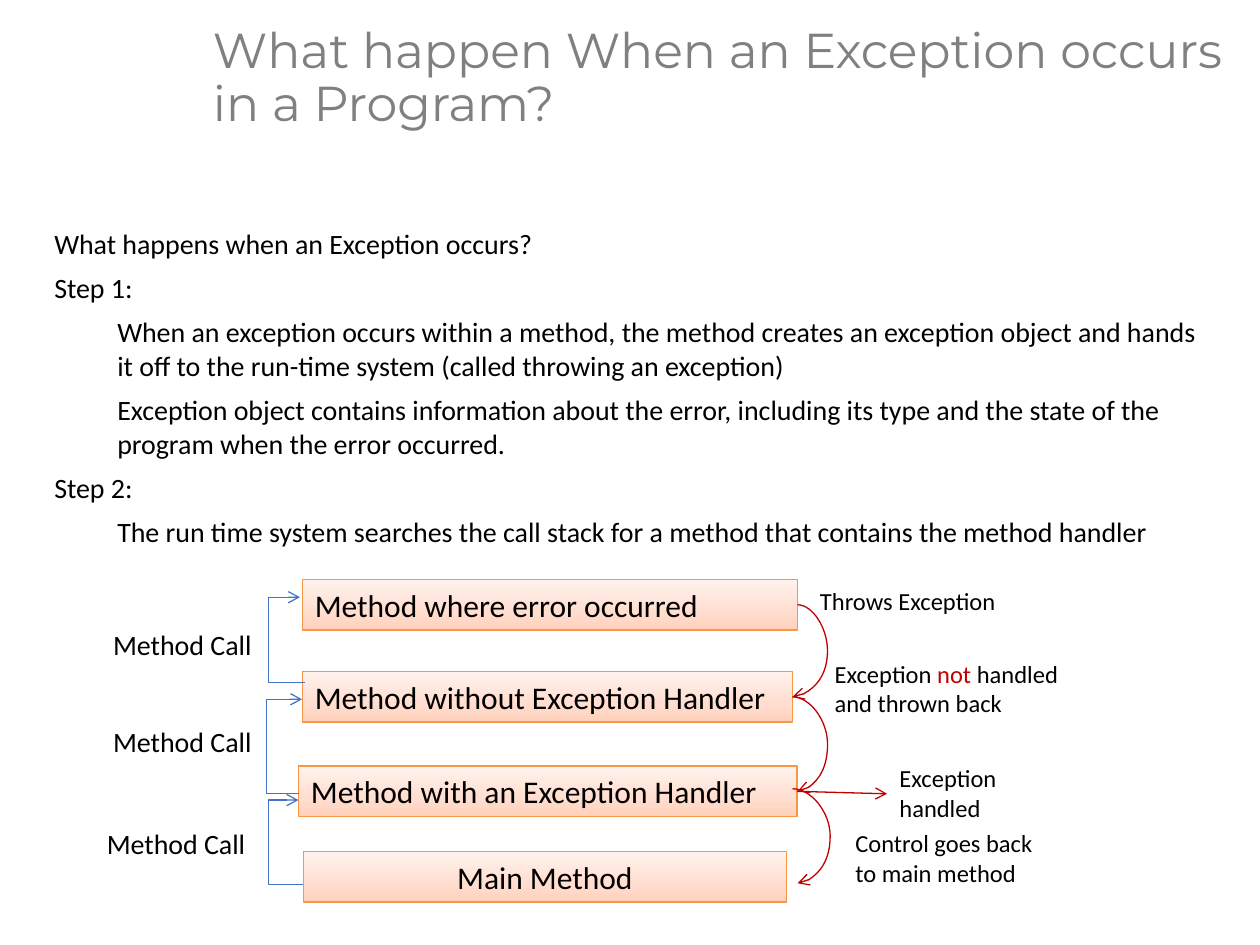
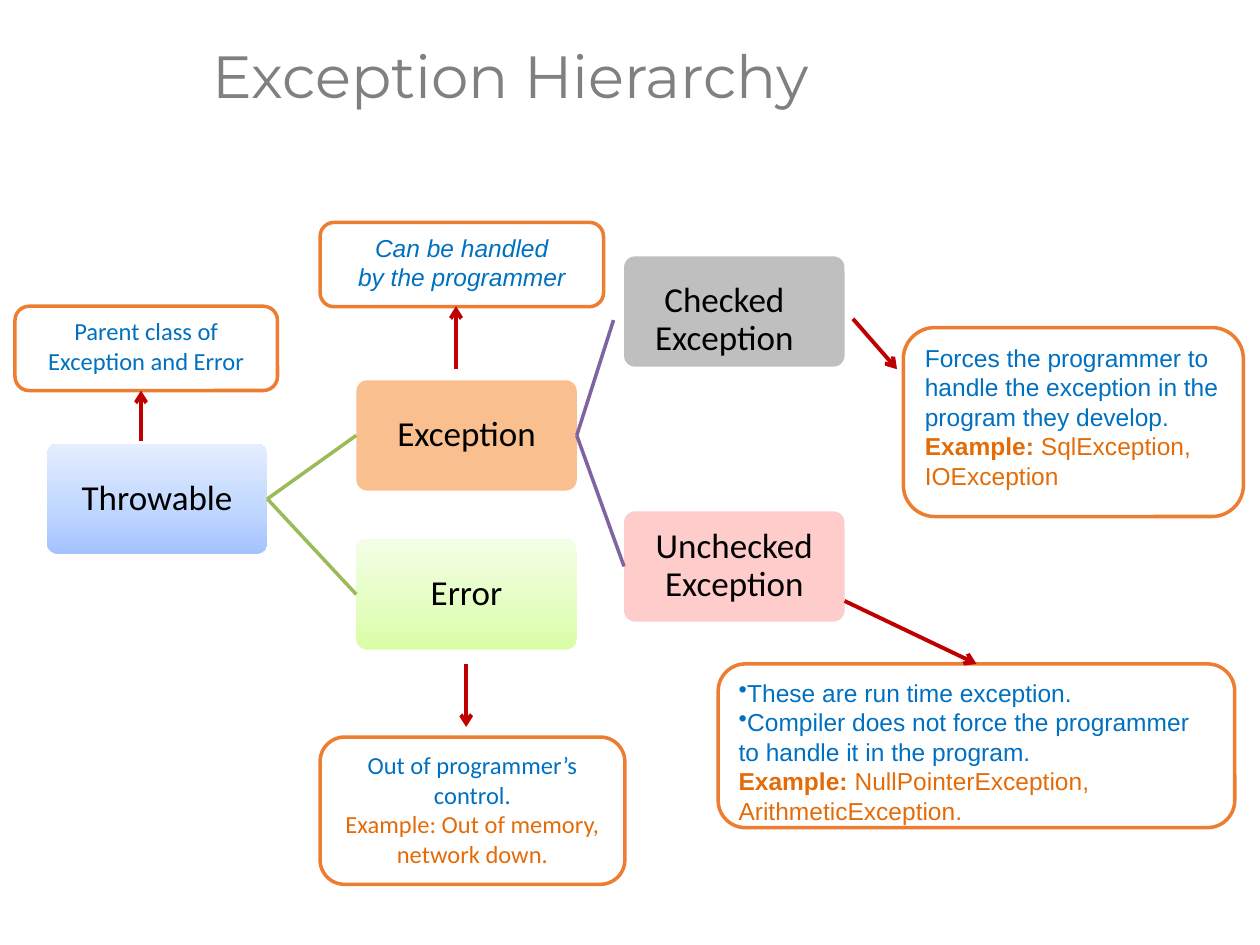
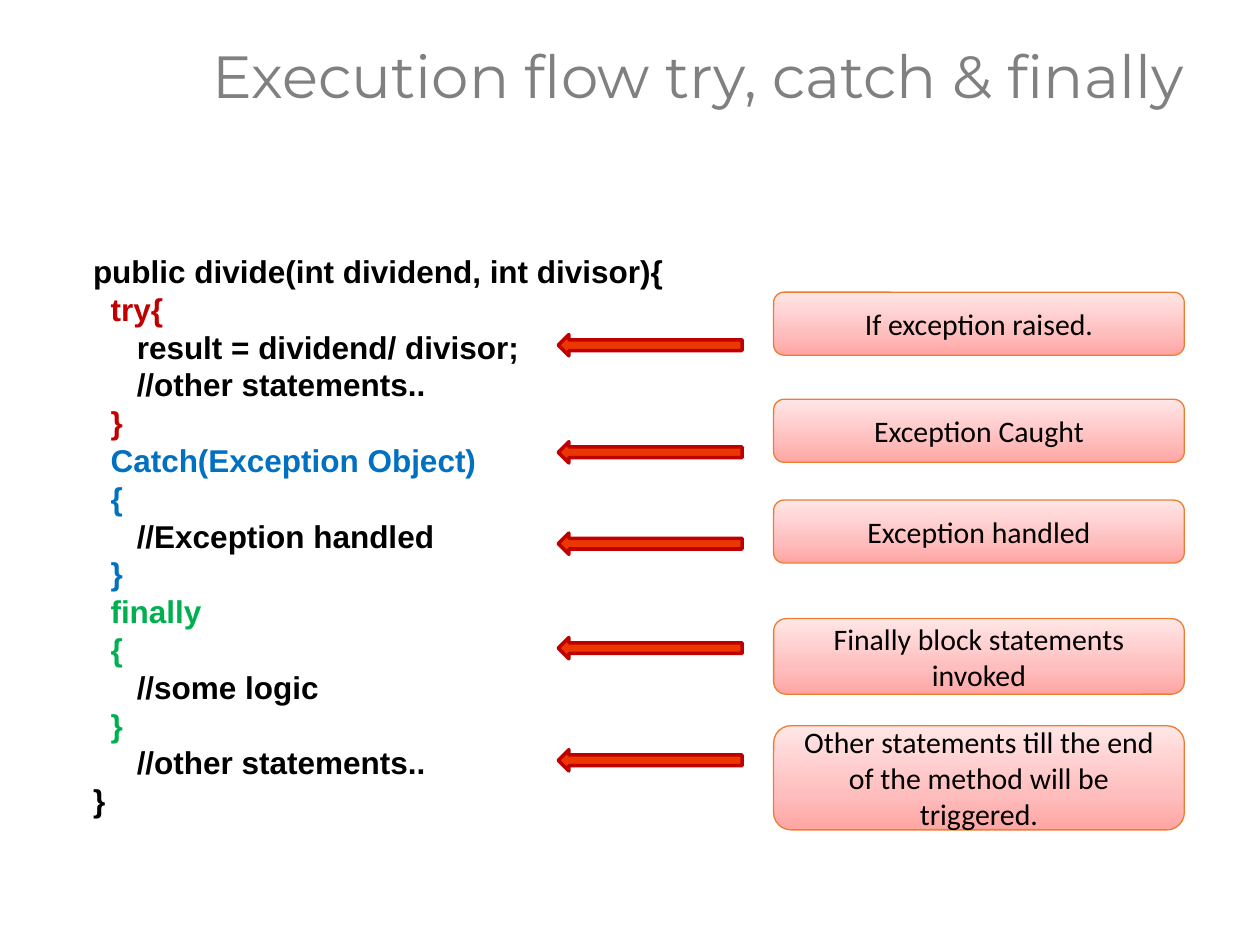
from copy import deepcopy

from lxml.etree import SubElement
from pptx import Presentation
from pptx.dml.color import RGBColor
from pptx.enum.shapes import MSO_CONNECTOR, MSO_SHAPE
from pptx.enum.text import MSO_ANCHOR, MSO_AUTO_SIZE, PP_ALIGN
from pptx.oxml.ns import qn
from pptx.util import Pt

RECT, ROUNDED, LEFT_ARROW = MSO_SHAPE.RECTANGLE, MSO_SHAPE.ROUNDED_RECTANGLE, MSO_SHAPE.LEFT_ARROW
STRAIGHT, ELBOW, CURVE = MSO_CONNECTOR.STRAIGHT, MSO_CONNECTOR.ELBOW, MSO_CONNECTOR.CURVE
LEFT, CENTER = PP_ALIGN.LEFT, PP_ALIGN.CENTER
TOP, MIDDLE = MSO_ANCHOR.TOP, MSO_ANCHOR.MIDDLE
TOP_SIDE, LEFT_SIDE, RIGHT_SIDE = 0, 1, 3

COLORS = {
    "title": "808080", "text": "000000", "white": "FFFFFF",
    "red": "C00000", "blue": "0070C0", "green": "00B050", "example": "E36C09",
    "call": "4472C4", "method line": "F79646", "note line": "ED7D31",
    "first branch": "9BBB59", "second branch": "8064A2", "flow arrow": "EA3800",
    "exception": "FABF8E", "checked": "BFBFBF", "unchecked": "FFCCCC",
}
# Gradients run from the bottom edge up, with stops at 0, 35 and 100 %
GRADIENTS = {
    "method": ("FFD1BB", "FFDDCF", "FFF2ED"),
    "throwable": ("A3C2FF", "BDD5FF", "E5EEFF"),
    "error": ("D9FDA5", "E3FEBF", "F4FEE6"),
    "step": ("FFA5A3", "FFBEBE", "FFE6E6"),
}


def write(frame, paragraphs, size, font="Calibri", align=LEFT, anchor=TOP, spacing=None, italic=None):
    """Fill a text frame; each paragraph is a list of (text, colour) or (text, colour, bold)."""
    frame.word_wrap = True
    frame.auto_size = MSO_AUTO_SIZE.NONE
    frame.vertical_anchor = anchor
    for number, runs in enumerate(paragraphs):
        paragraph = frame.add_paragraph() if number else frame.paragraphs[0]
        paragraph.alignment = align
        if spacing:
            paragraph.line_spacing = spacing
        for text, color, *bold in runs:
            run = paragraph.add_run()
            run.text = text
            run.font.name, run.font.size = font, Pt(size)
            run.font.bold, run.font.italic = bool(bold and bold[0]), italic
            run.font.color.rgb = RGBColor.from_string(COLORS[color])


def add_box(slide, kind, place, fill, line=None, line_width=0.75, corner=None):
    """Add a preset shape with a plain or gradient fill."""
    shape = slide.shapes.add_shape(kind, *map(Pt, place))
    shape.shadow.inherit = False
    if corner:
        shape.adjustments[0] = corner
    if fill in GRADIENTS:
        shape.fill.gradient()
        shape.fill.gradient_angle = 90
        stops = shape.element.spPr.find(qn("a:gradFill")).find(qn("a:gsLst"))
        stops.insert(1, deepcopy(stops[0]))
        for stop, position, color in zip(shape.fill.gradient_stops, (0, 0.35, 1), GRADIENTS[fill]):
            stop.position = position
            stop.color.rgb = RGBColor.from_string(color)
    else:
        shape.fill.solid()
        shape.fill.fore_color.rgb = RGBColor.from_string(COLORS[fill])
    if line:
        shape.line.color.rgb = RGBColor.from_string(COLORS[line])
        shape.line.width = Pt(line_width)
    else:
        shape.line.fill.background()
    return shape


prs = Presentation()
prs.slide_width, prs.slide_height = Pt(720), Pt(540)

# Slides and their titles
slides = []
for title_text, title_size, layout in (
    ("What happen When an Exception occurs in a Program?", 28, 1),
    ("Exception Hierarchy", 34, 5),
    ("Execution flow try, catch & finally", 34, 5),
):
    slide = prs.slides.add_slide(prs.slide_layouts[layout])
    title = slide.shapes.title
    title.left, title.top, title.width, title.height = Pt(114.5), Pt(0.7), Pt(605.5), Pt(89.3)
    write(title.text_frame, [[(title_text, "title")]], title_size, "Montserrat", anchor=MIDDLE, spacing=0.9)
    slides.append(slide)
steps_slide, hierarchy_slide, flow_slide = slides

# Slide 1: the steps
steps = [
    (0, "What happens when an Exception occurs?"),
    (0, "Step 1:"),
    (1, "When an exception occurs within a method, the method creates an exception object "
        "and hands it off to the run-time system (called throwing an exception)"),
    (1, "Exception object contains information about the error, including its type "
        "and the state of the program when the error occurred."),
    (0, "Step 2:"),
    (1, "The run time system searches the call stack for a method that contains the method handler"),
]
body = steps_slide.placeholders[1]
body.left, body.top, body.width, body.height = Pt(23.8), Pt(126), Pt(678.2), Pt(262.8)
write(body.text_frame, [[(text, "text")] for _, text in steps], 16, spacing=1.0)
for number, (paragraph, (level, _)) in enumerate(zip(body.text_frame.paragraphs, steps)):
    paragraph.level = level
    paragraph.space_before = Pt(6 if number else 0)
    properties = paragraph._p.get_or_add_pPr()
    properties.set("marL", str(Pt(36 * level)))
    properties.set("indent", "0")
    SubElement(properties, qn("a:buNone"))

# Slide 1: the call stack
methods = {}
for text, left, top, width, align in (
    ("Method where error occurred", 172.8, 331.2, 283, LEFT),
    ("Method without Exception Handler", 172.8, 383.8, 280, LEFT),
    ("Method with an Exception Handler", 170.6, 437.8, 284.8, LEFT),
    ("Main Method", 173.5, 486.7, 275.8, CENTER),
):
    methods[text] = add_box(steps_slide, RECT, (left, top, width, 28.8), "method", "method line")
    write(methods[text].text_frame, [[(text, "text")]], 18, align=align)

# Slide 1: labels beside the stack
call = [[("Method Call", "text")]]
for paragraphs, size, place in (
    (call, 16, (57.6, 355, 100.8, 26.6)),
    (call, 16, (57.6, 410.4, 100.8, 26.6)),
    (call, 16, (54, 468.7, 100.8, 26.6)),
    ([[("Throws Exception", "text")]], 14, (461.5, 331.2, 126.7, 24.5)),
    ([[("Exception ", "text"), ("not", "red"), (" handled", "text")],
      [("and thrown back", "text")]], 14, (469.8, 373, 159.8, 41)),
    ([[("Exception handled", "text")]], 14, (506.9, 432.7, 86.4, 41)),
    ([[("Control goes back", "text")], [("to main method", "text")]], 14, (481.7, 469.8, 131.8, 41)),
):
    label = steps_slide.shapes.add_textbox(*map(Pt, place))
    write(label.text_frame, paragraphs, size)

# Slide 2: the classes
classes = {}
for text, left, top, fill in (
    ("Throwable", 26.8, 253.6, "throwable"),
    ("Exception", 203.6, 217.3, "exception"),
    ("Error", 203.6, 308.2, "error"),
    ("Checked Exception", 356.6, 146.5, "checked"),
    ("Unchecked Exception", 356.6, 292.2, "unchecked"),
):
    classes[text] = add_box(hierarchy_slide, ROUNDED, (left, top, 126, 63), fill, corner=0.1)
    frame = classes[text].text_frame
    frame.margin_left = frame.margin_top = frame.margin_right = frame.margin_bottom = Pt(0.7)
    write(frame, [[(text, "text")]], 20, align=CENTER, anchor=MIDDLE, spacing=0.9)
checked_frame = classes["Checked Exception"].text_frame
checked_frame.margin_right, checked_frame.margin_top = Pt(12), Pt(10.8)

# Slide 2: notes on the classes
notes = {}
for about, place, font, align, italic, paragraphs in (
    ("Throwable", (8.6, 175, 150, 48.2), "Calibri", CENTER, False,
     [[("Parent class of Exception and Error", "blue")]]),
    ("Exception", (182.9, 127.1, 162, 48.2), "Arial", CENTER, True,
     [[("Can be handled", "blue")], [("by the programmer", "blue")]]),
    ("Error", (182.9, 421.2, 174.2, 84.2), "Calibri", CENTER, False,
     [[("Out of programmer’s control.", "blue")],
      [("Example: Out of memory, network down.", "example")]]),
    ("Checked", (516.2, 187.2, 194.4, 108), "Arial", LEFT, False,
     [[("Forces the programmer to handle the exception in the program they develop.", "blue")],
      [("Example: ", "example", True), ("SqlException, IOException", "example")]]),
    ("Unchecked", (410.4, 379.4, 295.2, 93.6), "Arial", LEFT, False,
     [[("These are run time exception.", "blue")],
      [("Compiler does not force the programmer to handle it in the program.", "blue")],
      [("Example: ", "example", True), ("NullPointerException, ArithmeticException.", "example")]]),
):
    notes[about] = add_box(hierarchy_slide, ROUNDED, place, "white", "note line", 2)
    spacing = Pt(16.8) if font == "Arial" else None
    write(notes[about].text_frame, paragraphs, 14, font, align, spacing=spacing, italic=italic)
for paragraph in notes["Unchecked"].text_frame.paragraphs[:2]:
    SubElement(paragraph._p.get_or_add_pPr(), qn("a:buChar")).set("char", "•")

# Slide 3: the code
code = [
    ("public divide(int dividend, int divisor){", "text"),
    ("  try{", "red"),
    ("     result = dividend/ divisor;", "text"),
    ("     //other statements..", "text"),
    ("  }", "red"),
    ("  Catch(Exception Object)", "blue"),
    ("  {", "blue"),
    ("     //Exception handled", "text"),
    ("  }", "blue"),
    ("  finally", "green"),
    ("  {", "green"),
    ("     //some logic", "text"),
    ("  }", "green"),
    ("     //other statements..", "text"),
    ("}", "text"),
]
listing = flow_slide.shapes.add_textbox(Pt(15.1), Pt(140.4), Pt(378.7), Pt(334.8))
write(listing.text_frame, [[(text, color, True)] for text, color in code], 18, "Arial", spacing=Pt(21.6))
for paragraph in listing.text_frame.paragraphs:
    paragraph._p.get_or_add_pPr().set("marL", str(Pt(31)))

# Slide 3: what happens at each point of the code
for text, arrow_top, step_top, step_height in (
    ("If exception raised.", 191.2, 167, 36),
    ("Exception Caught", 252.4, 228.2, 36),
    ("Exception handled", 304.6, 285.8, 36),
    ("Finally block statements invoked", 364.3, 353.5, 43.2),
    ("Other statements till the end of the method will be triggered.", 428.4, 414.7, 59.5),
):
    add_box(flow_slide, LEFT_ARROW, (319, arrow_top, 105.1, 12.2), "flow arrow", "red", 2)
    step = add_box(flow_slide, ROUNDED, (442.1, step_top, 234.7, step_height), "step", "note line")
    write(step.text_frame, [[(text, "text")]], 17, align=CENTER, anchor=MIDDLE)

# Connectors: an end is a point or a (shape, side) pair; via is the x of the bend
throwable, exception = (classes["Throwable"], RIGHT_SIDE), (classes["Exception"], RIGHT_SIDE)
handler = (methods["Method with an Exception Handler"], RIGHT_SIDE)
for slide, kind, begin, end, via, color, width, has_head in (
    (steps_slide, ELBOW, (173.5, 505.4), (170.6, 457.2), 153.4, "call", 0.75, True),
    (steps_slide, ELBOW, (170.6, 453.6), (172.6, 399.6), 152.6, "call", 0.75, True),
    (steps_slide, ELBOW, (174.2, 390.2), (171.4, 341.3), 153.4, "call", 0.75, True),
    (steps_slide, CURVE, (455.8, 345.6), (452.9, 398.2), 473, "red", 0.75, True),
    (steps_slide, CURVE, (452.9, 398.2), (455.8, 452.2), 473, "red", 0.75, True),
    (steps_slide, CURVE, (452.9, 450.7), (455.8, 504.7), 474.5, "red", 0.75, True),
    (steps_slide, STRAIGHT, handler, (506.9, 453.6), None, "red", 0.75, True),
    (hierarchy_slide, STRAIGHT, throwable, (classes["Exception"], LEFT_SIDE), None, "first branch", 2, False),
    (hierarchy_slide, STRAIGHT, throwable, (classes["Error"], LEFT_SIDE), None, "first branch", 2, False),
    (hierarchy_slide, STRAIGHT, exception, (350.6, 182.9), None, "second branch", 2, False),
    (hierarchy_slide, STRAIGHT, exception, (classes["Unchecked Exception"], LEFT_SIDE), None,
     "second branch", 2, False),
    (hierarchy_slide, STRAIGHT, (260.6, 211), (260.6, 175), None, "red", 2.25, True),
    (hierarchy_slide, STRAIGHT, (80.6, 252), (80.6, 223.2), None, "red", 2.25, True),
    (hierarchy_slide, STRAIGHT, (266.4, 379.4), (266.4, 415.4), None, "red", 2.25, True),
    (hierarchy_slide, STRAIGHT, (482.6, 343.4), (notes["Unchecked"], TOP_SIDE), None, "red", 2.25, True),
    (hierarchy_slide, STRAIGHT, (487.4, 182.2), (512.6, 211), None, "red", 2.25, True),
):
    begin_joined, end_joined = (not isinstance(point[0], (int, float)) for point in (begin, end))
    start = (0, 0) if begin_joined else begin
    finish = (0, 0) if end_joined else end
    connector = slide.shapes.add_connector(kind, *map(Pt, start + finish))
    if begin_joined:
        connector.begin_connect(*begin)
    if end_joined:
        connector.end_connect(*end)
    connector.line.color.rgb = RGBColor.from_string(COLORS[color])
    connector.line.width = Pt(width)
    properties = connector.element.spPr
    if has_head:
        SubElement(properties.find(qn("a:ln")), qn("a:tailEnd")).set("type", "arrow")
    if via:
        bend = SubElement(properties.find(qn("a:prstGeom")).find(qn("a:avLst")), qn("a:gd"))
        bend.set("name", "adj1")
        bend.set("fmla", f"val {round((via - begin[0]) / (end[0] - begin[0]) * 100000)}")
    SubElement(properties, qn("a:effectLst"))

prs.save("out.pptx")
